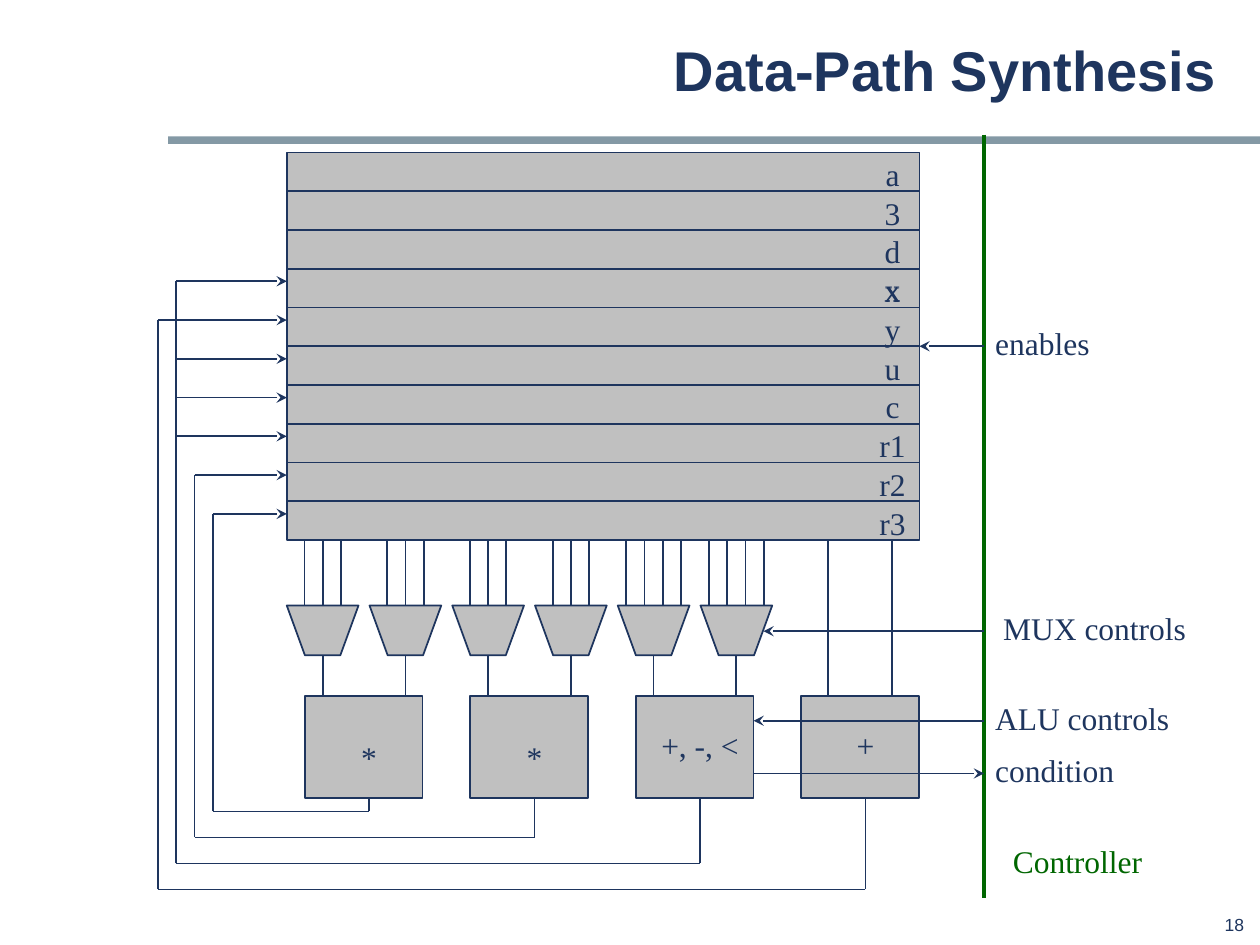
from dataclasses import dataclass

from lxml import etree
from pptx import Presentation
from pptx.dml.color import RGBColor
from pptx.enum.shapes import MSO_CONNECTOR, MSO_SHAPE
from pptx.enum.text import MSO_ANCHOR, PP_ALIGN
from pptx.oxml.ns import qn
from pptx.util import Pt

RECT = MSO_SHAPE.RECTANGLE
STRAIGHT = MSO_CONNECTOR.STRAIGHT
LEFT, CENTER, RIGHT = PP_ALIGN.LEFT, PP_ALIGN.CENTER, PP_ALIGN.RIGHT
TOP, MIDDLE = MSO_ANCHOR.TOP, MSO_ANCHOR.MIDDLE
RIGHT_SIDE = 3


@dataclass(frozen=True)
class Theme:
    ink: RGBColor = RGBColor(0x1E, 0x35, 0x5E)
    block: RGBColor = RGBColor(0xC0, 0xC0, 0xC0)
    rule: RGBColor = RGBColor(0x84, 0x99, 0xA5)
    control: RGBColor = RGBColor(0x00, 0x66, 0x00)
    head_font: str = "Arial"
    body_font: str = "Times New Roman"
    title_size: int = 32
    label_size: int = 18
    number_size: int = 10
    line_width: int = 1
    bar_width: int = 2


def write_text(tf, text, *, font, size, color, bold=False, align=LEFT,
               anchor=TOP, wrap=False, spacing=None):
    tf.word_wrap = wrap
    tf.vertical_anchor = anchor
    p = tf.paragraphs[0]
    p.alignment = align
    if spacing:
        p.line_spacing = spacing
    r = p.add_run()
    r.text = text
    r.font.name, r.font.size, r.font.bold = font, Pt(size), bold
    r.font.color.rgb = color


class Diagram:
    def __init__(self, slide, theme):
        self.s, self.theme = slide, theme

    def paint(self, sp, fill, outlined):
        sp.shadow.inherit = False
        sp.fill.solid()
        sp.fill.fore_color.rgb = fill
        if outlined:
            sp.line.color.rgb = self.theme.ink
            sp.line.width = Pt(self.theme.line_width)
        else:
            sp.line.fill.background()
        return sp

    def rect(self, x, y, w, h, fill=None, outlined=True):
        sp = self.s.shapes.add_shape(RECT, Pt(x), Pt(y), Pt(w), Pt(h))
        return self.paint(sp, fill or self.theme.block, outlined)

    def mux(self, x, y, w, h, slant):
        fb = self.s.shapes.build_freeform(Pt(x), Pt(y), scale=1.0)
        corners = [(x + w, y), (x + w - slant, y + h), (x + slant, y + h)]
        fb.add_line_segments([(Pt(a), Pt(b)) for a, b in corners], close=True)
        return self.paint(fb.convert_to_shape(), self.theme.block, True)

    def line(self, x1, y1, x2, y2, arrow=False, color=None, width=None):
        cx = self.s.shapes.add_connector(STRAIGHT, Pt(x1), Pt(y1), Pt(x2), Pt(y2))
        cx.line.color.rgb = color or self.theme.ink
        cx.line.width = Pt(width or self.theme.line_width)
        if arrow:
            ln = cx.line._get_or_add_ln()
            etree.SubElement(ln, qn("a:tailEnd"), type="stealth")
        etree.SubElement(cx._element.spPr, qn("a:effectLst"))
        return cx

    def route(self, *points):
        """Join the points by straight lines, with an arrow on the last."""
        for i, (a, b) in enumerate(zip(points, points[1:]), start=2):
            self.line(*a, *b, arrow=i == len(points))

    def text(self, text, x, y, w, h=28.8, **style):
        base = dict(font=self.theme.body_font, size=self.theme.label_size,
                    color=self.theme.ink)
        tb = self.s.shapes.add_textbox(Pt(x), Pt(y), Pt(w), Pt(h))
        write_text(tb.text_frame, text, **{**base, **style})

    def centered(self, text, cx, y, w=32):
        self.text(text, cx - w / 2, y, w, align=CENTER)


# Layout
REGISTERS = ["a", "3", "dx", "x", "y", "u", "c", "r1", "r2", "r3"]
FILE_X, FILE_Y, FILE_W, ROW_H = 163.9, 87.1, 361.5, 22.15
FILE_RIGHT, FILE_BOTTOM = FILE_X + FILE_W, FILE_Y + ROW_H * len(REGISTERS)

MUX_INPUTS = [3, 3, 3, 3, 4, 4]
MUX_Y, MUX_W, MUX_H, MUX_PITCH, MUX_SLANT = 346, 41, 28.5, 47.28, 10.4
INPUT_GAP = 10.4

# Operator, label top, registers fed by its result
UNITS = [("*", 418.3, [9]), ("*", 418.3, [8]),
         ("+, -, <", 411.1, [3, 5, 6, 7]), ("+", 411.1, [4])]
UNIT_X, UNIT_Y, UNIT_W, UNIT_H, UNIT_PITCH = 174.2, 397.9, 67.3, 58.3, 94.56
OUTPUT_X = 210.9
ADDER_INPUTS = [473, 509.8]

BAR_X, BAR_TOP, BAR_BOTTOM = 562.3, 77, 513.4


def row_y(row):
    return FILE_Y + ROW_H * row


def main():
    theme = Theme()
    prs = Presentation()
    prs.slide_width, prs.slide_height = Pt(720), Pt(540)
    d = Diagram(prs.slides.add_slide(prs.slide_layouts[6]), theme)

    # Title, rule and slide number
    d.rect(96, 78, 624, 4.3, theme.rule, outlined=False)
    d.text("18", 671, 519, 47, 18.7, font=theme.head_font,
           size=theme.number_size, align=RIGHT)
    d.text("Data-Path Synthesis", 96, 12.2, 606, 59.8, font=theme.head_font,
           size=theme.title_size, bold=True, align=RIGHT, anchor=MIDDLE,
           wrap=True, spacing=0.88)

    # Register file
    register_file = d.rect(FILE_X, FILE_Y, FILE_W, FILE_BOTTOM - FILE_Y)
    for row, name in enumerate(REGISTERS):
        if row:
            d.line(FILE_X, row_y(row), FILE_RIGHT, row_y(row))
        d.centered(name, 510, row_y(row) - 2.1)

    # Multiplexers with their inputs and outputs
    for i, count in enumerate(MUX_INPUTS):
        x = FILE_X + MUX_PITCH * i
        mid = x + MUX_W / 2
        d.mux(x, MUX_Y, MUX_W, MUX_H, MUX_SLANT)
        for k in range(count):
            wire = mid + INPUT_GAP * (k - (count - 1) / 2)
            d.line(wire, FILE_BOTTOM, wire, MUX_Y)
        d.line(mid, MUX_Y + MUX_H, mid, UNIT_Y)
    for x in ADDER_INPUTS:
        d.line(x, FILE_BOTTOM, x, UNIT_Y)

    # Arithmetic units with feedback to the registers
    for i, (operator, label_y, targets) in enumerate(UNITS):
        d.rect(UNIT_X + UNIT_PITCH * i, UNIT_Y, UNIT_W, UNIT_H)
        out = OUTPUT_X + UNIT_PITCH * i
        d.centered(operator, out, label_y, 59)
        lane, depth = 121.7 - 10.5 * i, 463.7 + 14.85 * i
        first, *others = [row_y(t) + 7.2 for t in targets]
        d.route((out, UNIT_Y + UNIT_H), (out, depth), (lane, depth),
                (lane, first), (FILE_X, first))
        for y in others:
            d.line(lane, y, FILE_X, y, arrow=True)

    # Controller bar and its signals
    d.line(BAR_X, BAR_TOP, BAR_X, BAR_BOTTOM, color=theme.control,
           width=theme.bar_width)
    enable_y = (FILE_Y + FILE_BOTTOM) / 2
    enable = d.line(BAR_X, enable_y, FILE_RIGHT, enable_y, arrow=True)
    enable.end_connect(register_file, RIGHT_SIDE)
    alu_right = UNIT_X + UNIT_PITCH * 2 + UNIT_W
    d.line(BAR_X, 360.7, 436.3, 360.7, arrow=True)
    d.line(BAR_X, 411.9, alu_right, 411.9, arrow=True)
    d.line(alu_right, 442, BAR_X, 442, arrow=True)

    for label, x, y, w in [("enables", 561.6, 181.4, 68.4),
                           ("MUX controls", 566.2, 344.2, 118.8),
                           ("ALU controls", 561.6, 396, 113.8),
                           ("condition", 561.6, 425.5, 82.8)]:
        d.text(label, x, y, w)
    d.text("Controller", 571.7, 477.4, 88.6, color=theme.control)

    prs.save("out.pptx")


if __name__ == "__main__":
    main()
